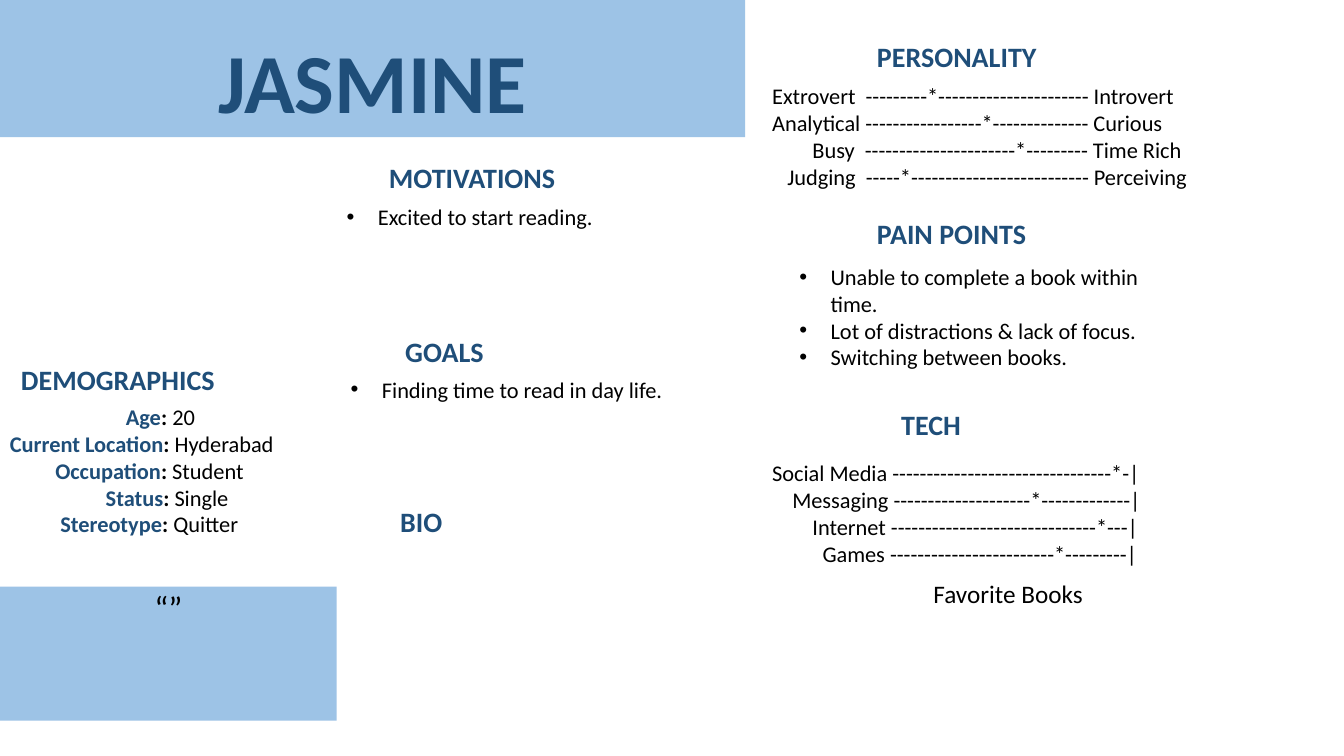
from lxml import etree
from pptx import Presentation
from pptx.dml.color import RGBColor
from pptx.enum import text
from pptx.oxml import ns
from pptx.util import Inches, Pt

FONT = "Calibri"
NAVY = RGBColor(0x1F, 0x4E, 0x79)
SKY = RGBColor(0x9D, 0xC3, 0xE6)
BLACK = RGBColor(0, 0, 0)

BULLET_INDENT = 0.31
PERSONALITY_DASHES = 31
TECH_DASHES = 33

NAME, QUOTE = "JASMINE", "“”"

# Heading, then left, top, width
HEADINGS = [
    ("DEMOGRAPHICS", 0.11, 3.55, 3.23),
    ("MOTIVATIONS", 3.76, 1.54, 2.83),
    ("GOALS", 3.92, 3.27, 2.71),
    ("BIO", 3.87, 4.96, 2.48),
    ("PERSONALITY", 8.6, 0.34, 2.83),
    ("PAIN POINTS", 8.6, 2.1, 1.84),
    ("TECH", 8.84, 3.99, 2.03),
]

# Box (left, top, width, height), then items
BULLETS = [
    ((3.34, 1.97, 4.76, 0.64), ["Excited to start reading."]),
    ((3.38, 3.68, 3.8, 1.18), ["Finding time to read in day life."]),
    ((7.83, 2.56, 3.91, 1.99), ["Unable to complete a book within time.",
                                "Lot of distractions & lack of focus.",
                                "Switching between books."]),
]

# Indent, label, value
DEMOGRAPHICS = [
    (1.15, "Age", "20"),
    (0, "Current Location", "Hyderabad"),
    (0.45, "Occupation", "Student"),
    (0.95, "Status", "Single"),
    (0.5, "Stereotype", "Quitter"),
]

# Indent, left end, dashes before the star, right end
PERSONALITY = [
    (0, "Extrovert  ", 9, " Introvert"),
    (0, "Analytical ", 17, " Curious"),
    (0.4, "Busy  ", 22, " Time Rich"),
    (0.15, "Judging  ", 5, " Perceiving"),
]
TECH = [
    (0, "Social Media ", 32, "|"),
    (0.2, "Messaging ", 20, "|"),
    (0.4, "Internet ", 30, "|"),
    (0.5, "Games ", 24, "|"),
]


def style(font, size, color=BLACK, bold=False):
    """Set size, colour and weight in the slide's font."""
    font.name, font.size, font.bold = FONT, Pt(size), bold
    font.color.rgb = color


def indent(p, left, first=0):
    """Set left margin and first-line indent in inches."""
    pPr = p._p.get_or_add_pPr()
    pPr.set("marL", str(Inches(left)))
    pPr.set("indent", str(Inches(first)))
    return pPr


def add_box(slide, box, count=1):
    """Add a wrapping text box and return its paragraphs."""
    tf = slide.shapes.add_textbox(*map(Inches, box)).text_frame
    tf.word_wrap = True
    for _ in range(count - 1):
        tf.add_paragraph()
    return tf.paragraphs


def add_line(slide, content, box, size, color=BLACK, bold=False):
    """Add a one-line text box."""
    p = add_box(slide, box)[0]
    p.text = content
    style(p.font, size, color, bold)


def add_bullets(slide, box, items):
    """Add a bulleted list."""
    for p, item in zip(add_box(slide, box, len(items)), items):
        p.text = item
        style(p.font, 16)
        pPr = indent(p, BULLET_INDENT, -BULLET_INDENT)
        bu_font = etree.Element(ns.qn("a:buFont"), typeface="Arial")
        bu_char = etree.Element(ns.qn("a:buChar"), char="•")
        pPr.insert(0, bu_font)
        pPr.insert(1, bu_char)


def add_scales(slide, box, rows, dashes):
    """Add dashed scales, each with a star at its value."""
    for p, (left, start, before, end) in zip(add_box(slide, box, len(rows)), rows):
        p.text = f"{start}{'-' * before}*{'-' * (dashes - before)}{end}"
        style(p.font, 16)
        indent(p, left)


def add_demographics(slide, box):
    """Add the label and value lines."""
    for p, (left, label, value) in zip(add_box(slide, box, len(DEMOGRAPHICS)),
                                       DEMOGRAPHICS):
        indent(p, left)
        for part, color, bold in [(label, NAVY, True), (": ", BLACK, True),
                                  (value, BLACK, False)]:
            r = p.add_run()
            r.text = part
            style(r.font, 16, color, bold)


def fill_panel(sp, content, box, size, color, bold, anchor, before):
    """Turn a placeholder into a filled panel with centred text."""
    sp.left, sp.top, sp.width, sp.height = map(Inches, box)
    sp.fill.solid()
    sp.fill.fore_color.rgb = SKY
    tf = sp.text_frame
    tf.auto_size = text.MSO_AUTO_SIZE.NONE
    tf.vertical_anchor = anchor
    p = tf.paragraphs[0]
    p.text = content
    p.alignment = text.PP_ALIGN.CENTER
    p.line_spacing, p.space_before = 0.9, Pt(before)
    style(p.font, size, color, bold)


prs = Presentation()
prs.slide_width, prs.slide_height = Inches(13.33), Inches(7.5)
slide = prs.slides.add_slide(prs.slide_layouts[0])

fill_panel(slide.shapes.title, NAME, (0, -0.04, 7.39, 1.4), 60, NAVY, True,
           text.MSO_ANCHOR.BOTTOM, 0)
fill_panel(slide.placeholders[1], QUOTE, (0, 5.82, 3.34, 1.33), 24, BLACK, False,
           text.MSO_ANCHOR.TOP, 10)

for heading, left, top, width in HEADINGS:
    add_line(slide, heading, (left, top, width, 0.44), 20, NAVY, True)
for box, items in BULLETS:
    add_bullets(slide, box, items)
add_demographics(slide, (0, 3.95, 3.65, 1.99))
add_scales(slide, (7.56, 0.77, 4.91, 1.18), PERSONALITY, PERSONALITY_DASHES)
add_scales(slide, (7.56, 4.51, 4.6, 1.18), TECH, TECH_DASHES)
add_line(slide, "Favorite Books", (9.16, 5.69, 2.27, 0.4), 18)

prs.save("out.pptx")
